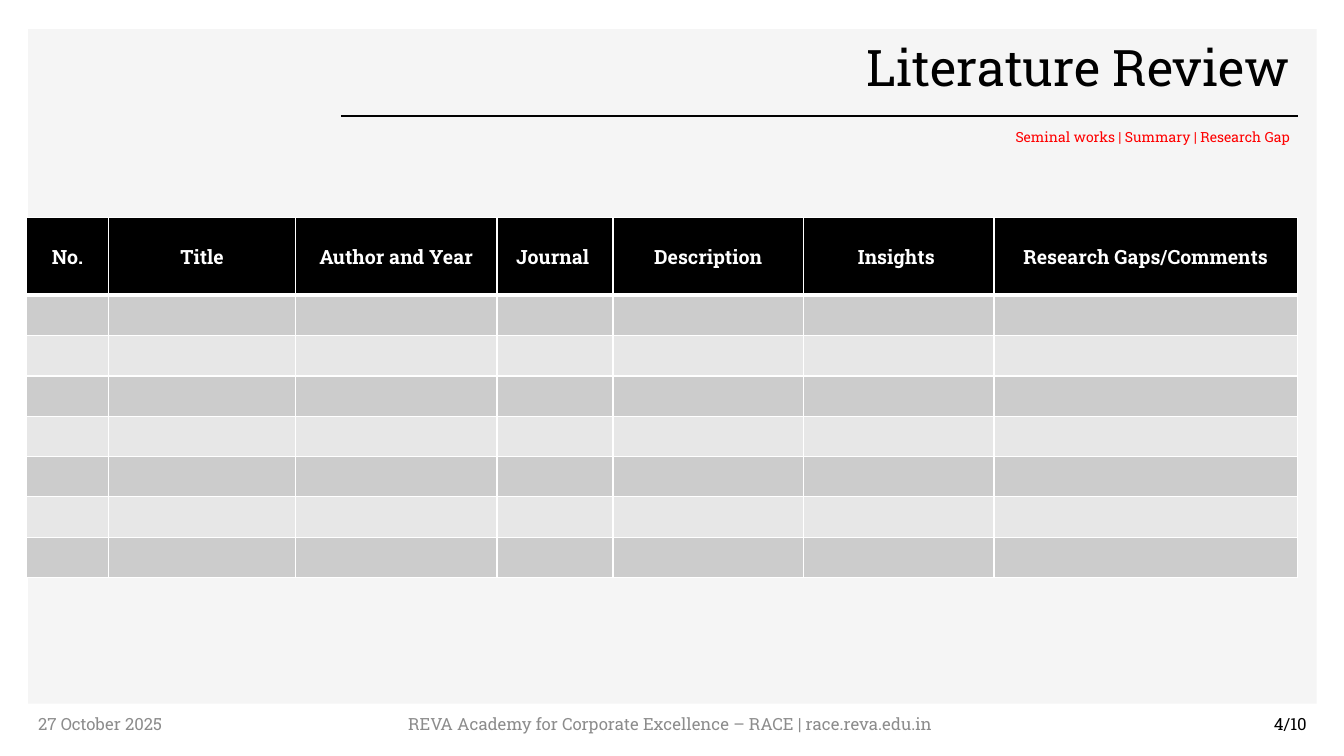
from lxml import etree
from pptx import Presentation
from pptx.dml.color import RGBColor
from pptx.enum.shapes import MSO_CONNECTOR, MSO_SHAPE
from pptx.enum.text import MSO_ANCHOR as ANCHOR, PP_ALIGN as ALIGN
from pptx.oxml import parse_xml
from pptx.oxml.ns import nsdecls, qn
from pptx.util import Inches, Pt

FONT = "Roboto Slab"
COLORS = {
    "black": "000000",
    "white": "FFFFFF",
    "panel": "F5F5F5",
    "muted": "8C8C8C",
    "accent": "FF0000",
    "odd_row": "CCCCCC",
    "even_row": "E7E7E7",
}
COLUMNS = [
    ("No.", 0.82),
    ("Title", 1.85),
    ("Author and Year", 2),
    ("Journal ", 1.15),
    ("Description", 1.89),
    ("Insights ", 1.89),
    ("Research Gaps/Comments", 3.01),
]
BODY_ROWS = 7
HEADER_HEIGHT = 0.77
ROW_HEIGHT = 0.4


def rgb(name):
    return RGBColor.from_string(COLORS[name])


def style(p, size, color, align=ALIGN.LEFT, bold=False):
    p.alignment = align
    p.font.name = FONT
    p.font.size = Pt(size)
    p.font.bold = bold
    p.font.color.rgb = rgb(color)


def add_text(slide, box, text, size, color, align=ALIGN.LEFT, anchor=ANCHOR.MIDDLE):
    tf = slide.shapes.add_textbox(*map(Inches, box)).text_frame
    tf.word_wrap = True
    tf.vertical_anchor = anchor
    p = tf.paragraphs[0]
    p.text = text
    style(p, size, color, align)
    return p


def add_panel(slide, box):
    sp = slide.shapes.add_shape(MSO_SHAPE.RECTANGLE, *map(Inches, box))
    sp.shadow.inherit = False
    sp.fill.solid()
    sp.fill.fore_color.rgb = rgb("panel")
    sp.line.fill.background()


def add_heading(slide, box):
    left, top, width, height = box
    right = left + width
    rule_y = top + 0.82
    rule = slide.shapes.add_connector(
        MSO_CONNECTOR.STRAIGHT,
        Inches(left - 0.34), Inches(rule_y), Inches(right - 0.02), Inches(rule_y),
    )
    rule.line.color.rgb = rgb("black")
    rule.line.width = Pt(1)
    etree.SubElement(rule._element.spPr, qn("a:effectLst"))
    title = add_text(slide, (left, top, width, 0.73), "Literature Review", 36, "black", ALIGN.RIGHT)
    title.line_spacing = 0.9
    add_text(slide, (right - 4.93, top + 0.9, 4.93, height - 0.9),
             "Seminal works | Summary | Research Gap", 10, "accent", ALIGN.RIGHT, ANCHOR.TOP)


def format_cell(cell, fill, bottom_width=1):
    tc_pr = cell._tc.get_or_add_tcPr()
    for side, width in (("L", 1), ("R", 1), ("T", 1), ("B", bottom_width)):
        tc_pr.append(parse_xml(
            f'<a:ln{side} {nsdecls("a")} w="{Pt(width)}"><a:solidFill>'
            f'<a:srgbClr val="{COLORS["white"]}"/></a:solidFill></a:ln{side}>'
        ))
    cell.fill.solid()
    cell.fill.fore_color.rgb = rgb(fill)
    cell.vertical_anchor = ANCHOR.MIDDLE
    cell.margin_top = cell.margin_bottom = Inches(0.03)


def add_review_table(slide, box):
    table = slide.shapes.add_table(BODY_ROWS + 1, len(COLUMNS), *map(Inches, box)).table
    table.horz_banding = False
    table.rows[0].height = Inches(HEADER_HEIGHT)
    for i in range(1, BODY_ROWS + 1):
        table.rows[i].height = Inches(ROW_HEIGHT)
    for col, (label, width) in enumerate(COLUMNS):
        table.columns[col].width = Inches(width)
        header = table.cell(0, col)
        format_cell(header, "black", bottom_width=3)
        p = header.text_frame.paragraphs[0]
        p.text = label
        style(p, 14, "white", ALIGN.CENTER, bold=True)
        for row in range(1, BODY_ROWS + 1):
            cell = table.cell(row, col)
            format_cell(cell, "odd_row" if row % 2 else "even_row")
            style(cell.text_frame.paragraphs[0], 12, "black")


def add_footer(slide, box):
    left, top, width, height = box
    side = 3
    add_text(slide, (left, top, side, height), "27 October 2025", 12, "muted")
    add_text(slide, (left + 3.19, top, 6.36, height),
             "REVA Academy for Corporate Excellence – RACE | race.reva.edu.in",
             12, "muted", ALIGN.CENTER)
    add_text(slide, (left + width - side, top, side, height), "4/10", 12, "black", ALIGN.RIGHT)


def main():
    prs = Presentation()
    prs.slide_width, prs.slide_height = Inches(13.33), Inches(7.5)
    slide = prs.slides.add_slide(prs.slide_layouts[6])
    add_panel(slide, (0.28, 0.29, 12.78, 6.69))
    add_heading(slide, (3.72, 0.33, 9.17, 1.17))
    table_width = sum(width for _, width in COLUMNS)
    table_height = HEADER_HEIGHT + BODY_ROWS * ROW_HEIGHT
    add_review_table(slide, (0.26, 2.16, table_width, table_height))
    add_footer(slide, (0.28, 6.98, 12.78, 0.4))
    prs.save("out.pptx")


if __name__ == "__main__":
    main()
